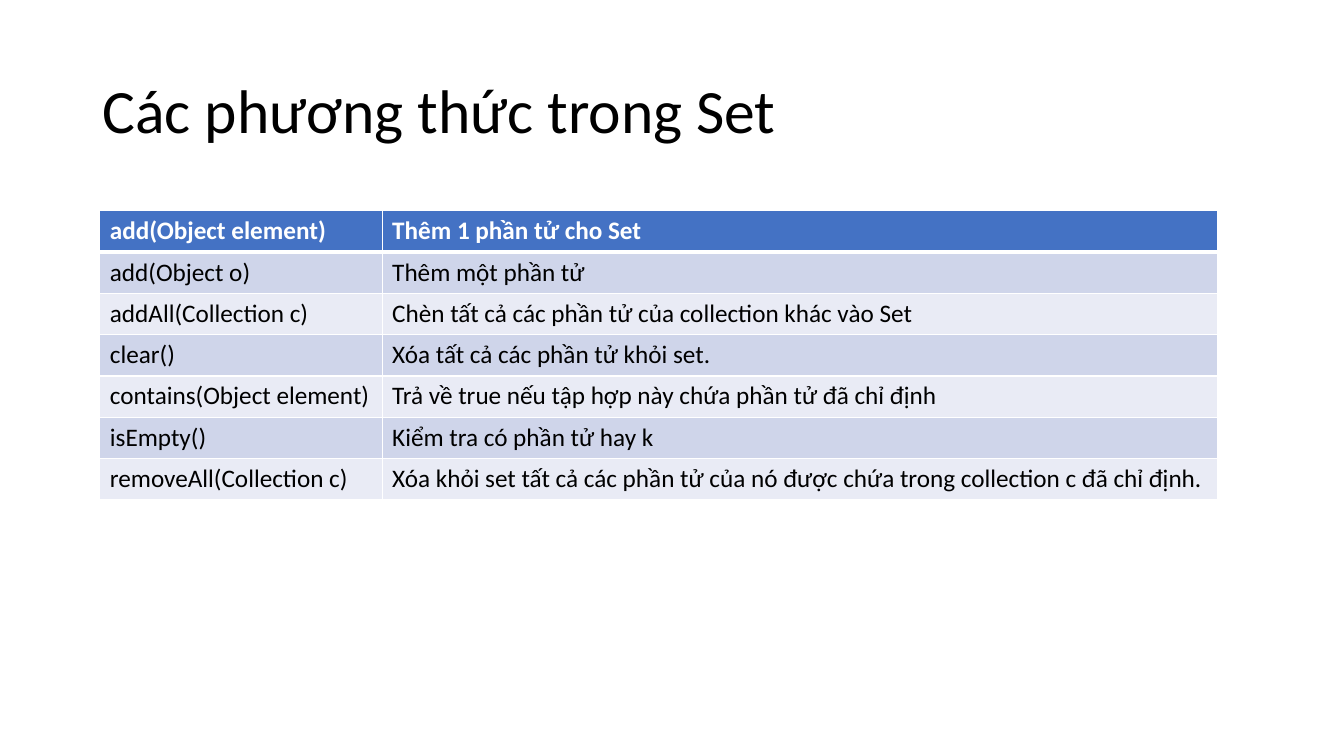
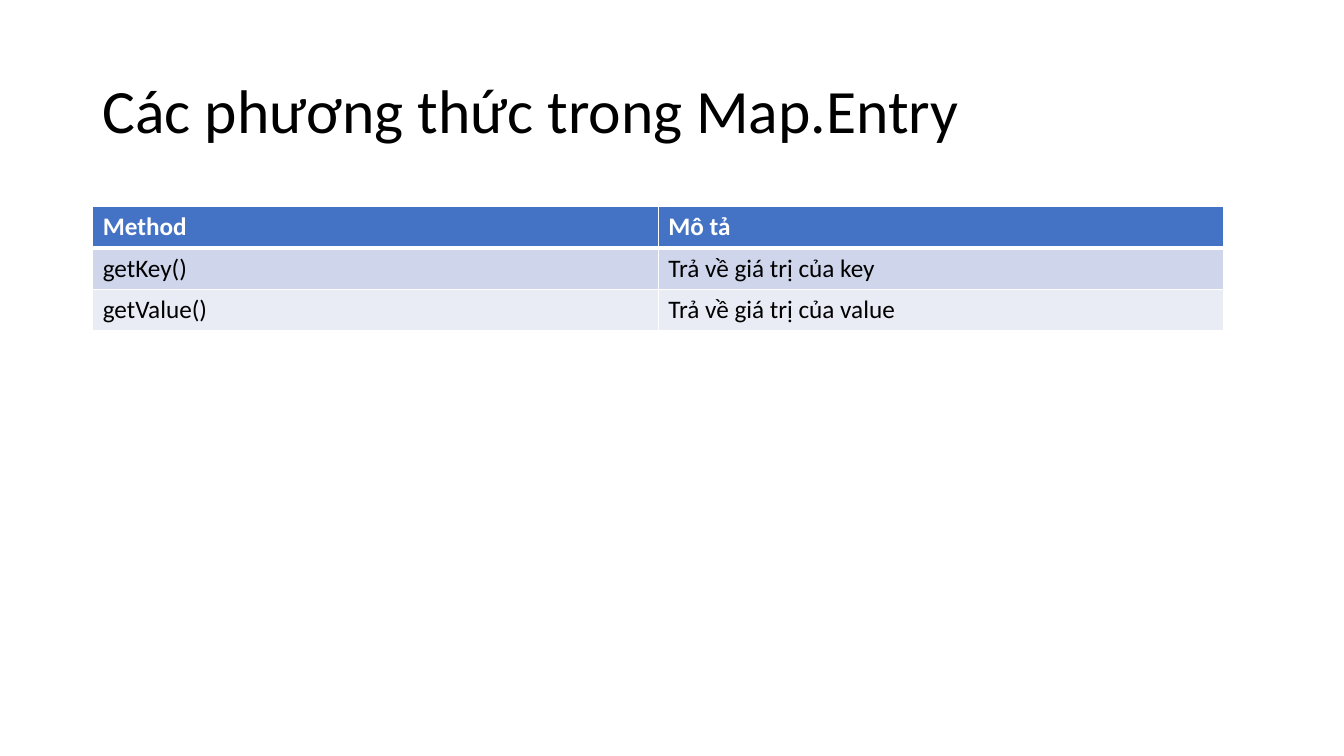
from lxml import etree
from pptx import Presentation
from pptx.dml.color import RGBColor
from pptx.enum.text import MSO_ANCHOR
from pptx.oxml.ns import qn
from pptx.util import Inches, Pt

MIDDLE = MSO_ANCHOR.MIDDLE
FONT = "Calibri"
WHITE, BLACK = "FFFFFF", "000000"
HEADER, BAND_DARK, BAND_LIGHT = "4472C4", "CFD5EA", "E9EBF5"
ROW_HEIGHT = 0.41


def style(p, size, color, bold=False):
    p.font.name, p.font.size, p.font.bold = FONT, Pt(size), bold
    p.font.color.rgb = RGBColor.from_string(color)


def add_border(cell, side, width):
    ln = etree.SubElement(cell._tc.get_or_add_tcPr(), qn("a:ln" + side), w=str(Pt(width)))
    fill = etree.SubElement(ln, qn("a:solidFill"))
    etree.SubElement(fill, qn("a:srgbClr"), val=WHITE)


# Content: title, table left and top, column widths, rows
SLIDES = [
    ("Các phương thức trong Set", 0.99, 2.09, (2.8, 8.29), [
        ("add(Object element)", "Thêm 1 phần tử cho Set"),
        ("add(Object o)", "Thêm một phần tử"),
        ("addAll(Collection c)", "Chèn tất cả các phần tử của collection khác vào Set"),
        ("clear()", "Xóa tất cả các phần tử khỏi set."),
        ("contains(Object element)", "Trả về true nếu tập hợp này chứa phần tử đã chỉ định"),
        ("isEmpty()", "Kiểm tra có phần tử hay k"),
        ("removeAll(Collection c)",
         "Xóa khỏi set tất cả các phần tử của nó được chứa trong collection c đã chỉ định."),
    ]),
    ("Các phương thức trong Map.Entry", 0.92, 2.05, (5.61, 5.61), [
        ("Method", "Mô tả"),
        ("getKey()", "Trả về giá trị của key"),
        ("getValue()", "Trả về giá trị của value"),
    ]),
]

prs = Presentation()
prs.slide_width, prs.slide_height = Inches(13.33), Inches(7.5)

for title, left, top, widths, rows in SLIDES:
    s = prs.slides.add_slide(prs.slide_layouts[6])

    # Title
    tf = s.shapes.add_textbox(Inches(0.92), Inches(0.4), Inches(11.5), Inches(1.45)).text_frame
    tf.word_wrap = True
    tf.vertical_anchor = MIDDLE
    p = tf.paragraphs[0]
    p.text = title
    p.line_spacing = 0.9
    style(p, 44, BLACK)

    # Method table
    table = s.shapes.add_table(len(rows), len(widths), Inches(left), Inches(top),
                               Inches(sum(widths)), Inches(ROW_HEIGHT * len(rows))).table
    for column, width in zip(table.columns, widths):
        column.width = Inches(width)
    for i, row in enumerate(rows):
        table.rows[i].height = Inches(ROW_HEIGHT)
        is_header = i == 0
        fill = HEADER if is_header else BAND_DARK if i % 2 else BAND_LIGHT
        for j, text in enumerate(row):
            cell = table.cell(i, j)
            # Borders come before the fill; the rule under the header is thicker
            for side, width in (("L", 1), ("R", 1), ("T", 3 if i == 1 else 1),
                                ("B", 3 if is_header else 1)):
                add_border(cell, side, width)
            cell.fill.solid()
            cell.fill.fore_color.rgb = RGBColor.from_string(fill)
            p = cell.text_frame.paragraphs[0]
            p.text = text
            style(p, 18, WHITE if is_header else BLACK, is_header)

prs.save("out.pptx")
